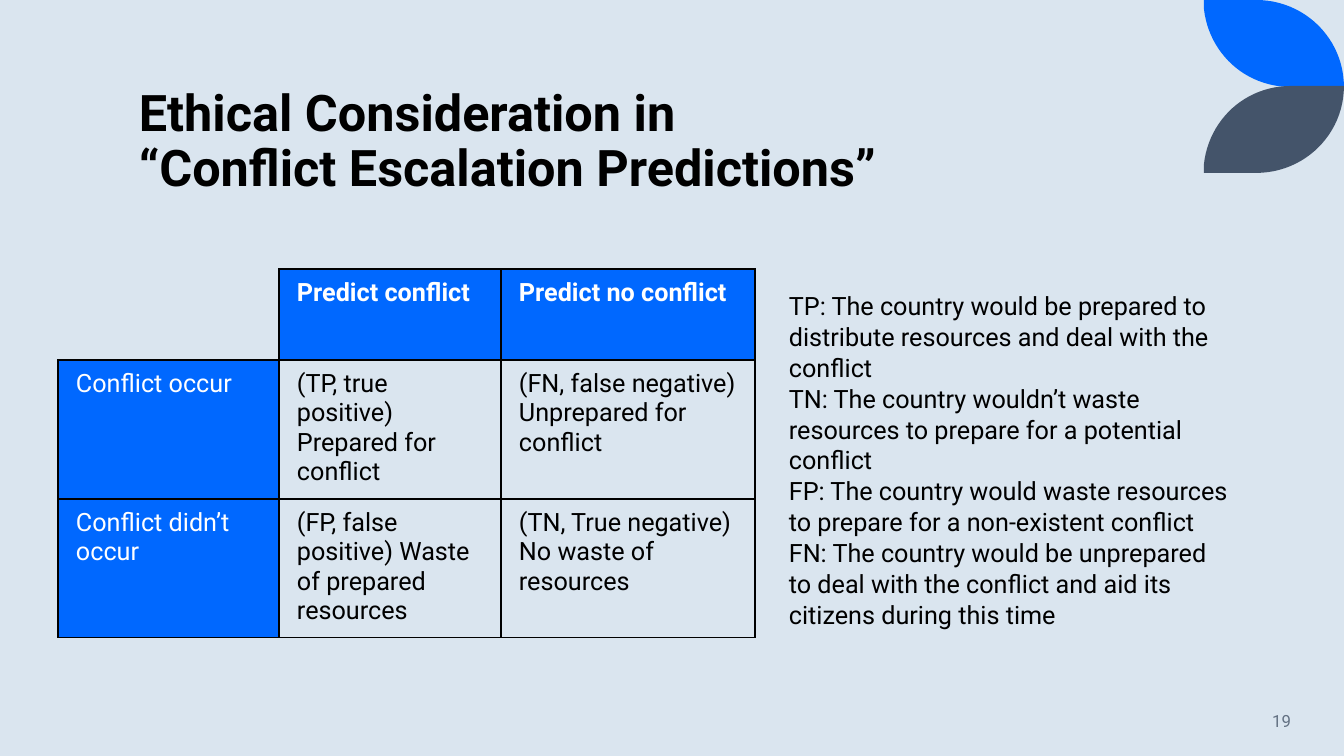
from dataclasses import dataclass

from lxml.etree import SubElement
from pptx import Presentation
from pptx.dml.color import RGBColor
from pptx.enum.text import MSO_ANCHOR, PP_ALIGN
from pptx.oxml.ns import qn
from pptx.slide import Slide
from pptx.table import _Cell
from pptx.text.text import TextFrame
from pptx.util import Pt

EMU_PER_PX = 914400 / 100.8


@dataclass(frozen=True)
class Theme:
    font: str = "Roboto"
    background: str = "DAE5EF"
    accent: str = "0068FF"
    slate: str = "44546A"
    ink: str = "000000"
    white: str = "FFFFFF"
    muted: str = "637183"
    title_size: int = 36
    body_size: int = 18
    number_size: int = 12
    border: int = 1


THEME = Theme()


@dataclass(frozen=True)
class Box:
    x: int
    y: int
    w: int
    h: int


@dataclass(frozen=True)
class Leaf:
    tip_y: int
    direction: int
    color: str


@dataclass(frozen=True)
class CellSpec:
    text: str
    color: str = THEME.ink
    fill: str = ""
    bold: bool = False
    edges: str = "LRTB"


def header(text: str) -> CellSpec:
    return CellSpec(text, THEME.white, THEME.accent, True)


def label(text: str) -> CellSpec:
    return CellSpec(text, THEME.white, THEME.accent)


LEAVES = (Leaf(0, 1, THEME.accent), Leaf(173, -1, THEME.slate))
LEAF_X = 1204
OUTER_CURVE = ((52, 0), (101, 0), (140, 39), (140, 87))
INNER_CURVE = ((87, 87), (41, 87), (5, 53), (0, 9))
CURVE_STEPS = 24

TABLE_BOX = Box(58, 269, 697, 364)
COLUMN_WIDTHS = (221, 222, 254)
ROW_HEIGHTS = (91, 136, 137)
MATRIX = (
    (CellSpec("", edges="RB"), header("Predict conflict"), header("Predict no conflict")),
    (label("Conflict occur"),
     CellSpec("(TP, true positive) Prepared for conflict"),
     CellSpec("(FN, false negative) Unprepared for conflict")),
    (label("Conflict didn’t occur"),
     CellSpec("(FP, false positive) Waste of prepared resources"),
     CellSpec("(TN, True negative) No waste of resources")),
)
OUTCOMES = (
    "TP: The country would be prepared to distribute resources and deal with the conflict",
    "TN: The country wouldn’t waste resources to prepare for a potential conflict",
    "FP: The country would waste resources to prepare for a non-existent conflict",
    "FN: The country would be unprepared to deal with the conflict and aid its citizens "
    "during this time",
)


def px(n: float) -> int:
    return round(n * EMU_PER_PX)


def rgb(color: str) -> RGBColor:
    return RGBColor.from_string(color)


def write(tf: TextFrame, *paragraphs: str, size: int = THEME.body_size,
          color: str = THEME.ink, bold: bool = False, align: PP_ALIGN = PP_ALIGN.LEFT,
          spacing: float = 1.0, after: int = 0) -> None:
    for i, text in enumerate(paragraphs):
        p = tf.add_paragraph() if i else tf.paragraphs[0]
        p.text = text
        p.alignment = align
        p.line_spacing = spacing
        p.space_after = Pt(after)
        for r in p.runs:
            r.font.name = THEME.font
            r.font.size = Pt(size)
            r.font.bold = bold
            r.font.color.rgb = rgb(color)


def add_text_frame(s: Slide, box: Box, anchor: MSO_ANCHOR) -> TextFrame:
    tf = s.shapes.add_textbox(px(box.x), px(box.y), px(box.w), px(box.h)).text_frame
    tf.word_wrap = True
    tf.vertical_anchor = anchor
    return tf


def curve_points(curve: tuple) -> list[tuple[float, float]]:
    points = []
    for step in range(CURVE_STEPS + 1):
        t = step / CURVE_STEPS
        weights = ((1 - t) ** 3, 3 * t * (1 - t) ** 2, 3 * t ** 2 * (1 - t), t ** 3)
        points.append(tuple(sum(w * c[axis] for w, c in zip(weights, curve))
                            for axis in (0, 1)))
    return points


def add_leaf(s: Slide, leaf: Leaf) -> None:
    points = [(px(LEAF_X + x), px(leaf.tip_y + leaf.direction * y))
              for x, y in curve_points(OUTER_CURVE) + curve_points(INNER_CURVE)]
    builder = s.shapes.build_freeform(px(LEAF_X), px(leaf.tip_y))
    builder.add_line_segments(points, close=True)
    sp = builder.convert_to_shape()
    sp.shadow.inherit = False
    sp.fill.solid()
    sp.fill.fore_color.rgb = rgb(leaf.color)
    sp.line.fill.background()


def set_borders(cell: _Cell, edges: str) -> None:
    tcPr = cell._tc.get_or_add_tcPr()
    for i, edge in enumerate("LRTB"):
        ln = SubElement(tcPr, qn(f"a:ln{edge}"), w=str(Pt(THEME.border)))
        if edge in edges:
            fill = SubElement(ln, qn("a:solidFill"))
            SubElement(fill, qn("a:srgbClr"), val=THEME.ink)
        else:
            SubElement(ln, qn("a:noFill"))
        tcPr.insert(i, ln)


def fill_cell(cell: _Cell, spec: CellSpec) -> None:
    cell.margin_left = cell.margin_right = px(18)
    cell.margin_top = cell.margin_bottom = px(9)
    write(cell.text_frame, spec.text, color=spec.color, bold=spec.bold)
    if spec.fill:
        cell.fill.solid()
        cell.fill.fore_color.rgb = rgb(spec.fill)
    else:
        cell.fill.background()
    set_borders(cell, spec.edges)


def add_matrix(s: Slide) -> None:
    box = TABLE_BOX
    table = s.shapes.add_table(len(ROW_HEIGHTS), len(COLUMN_WIDTHS), px(box.x), px(box.y),
                               px(box.w), px(box.h)).table
    table.first_row = table.horz_banding = False
    for column, width in zip(table.columns, COLUMN_WIDTHS):
        column.width = px(width)
    for row, height, specs in zip(table.rows, ROW_HEIGHTS, MATRIX):
        row.height = px(height)
        for cell, spec in zip(row.cells, specs):
            fill_cell(cell, spec)


def main() -> None:
    prs = Presentation()
    prs.slide_width, prs.slide_height = px(1344), px(756)
    s = prs.slides.add_slide(prs.slide_layouts[6])
    s.background.fill.solid()
    s.background.fill.fore_color.rgb = rgb(THEME.background)

    for leaf in LEAVES:
        add_leaf(s, leaf)
    write(add_text_frame(s, Box(129, 69, 1078, 133), MSO_ANCHOR.BOTTOM),
          "Ethical Consideration in \n“Conflict Escalation Predictions”",
          size=THEME.title_size, bold=True, spacing=0.9)
    write(add_text_frame(s, Box(1119, 701, 182, 40), MSO_ANCHOR.MIDDLE), "19",
          size=THEME.number_size, color=THEME.muted, align=PP_ALIGN.RIGHT, after=6)
    add_matrix(s)
    write(add_text_frame(s, Box(779, 285, 459, 346), MSO_ANCHOR.TOP), *OUTCOMES,
          spacing=1.02)
    prs.save("out.pptx")


if __name__ == "__main__":
    main()
